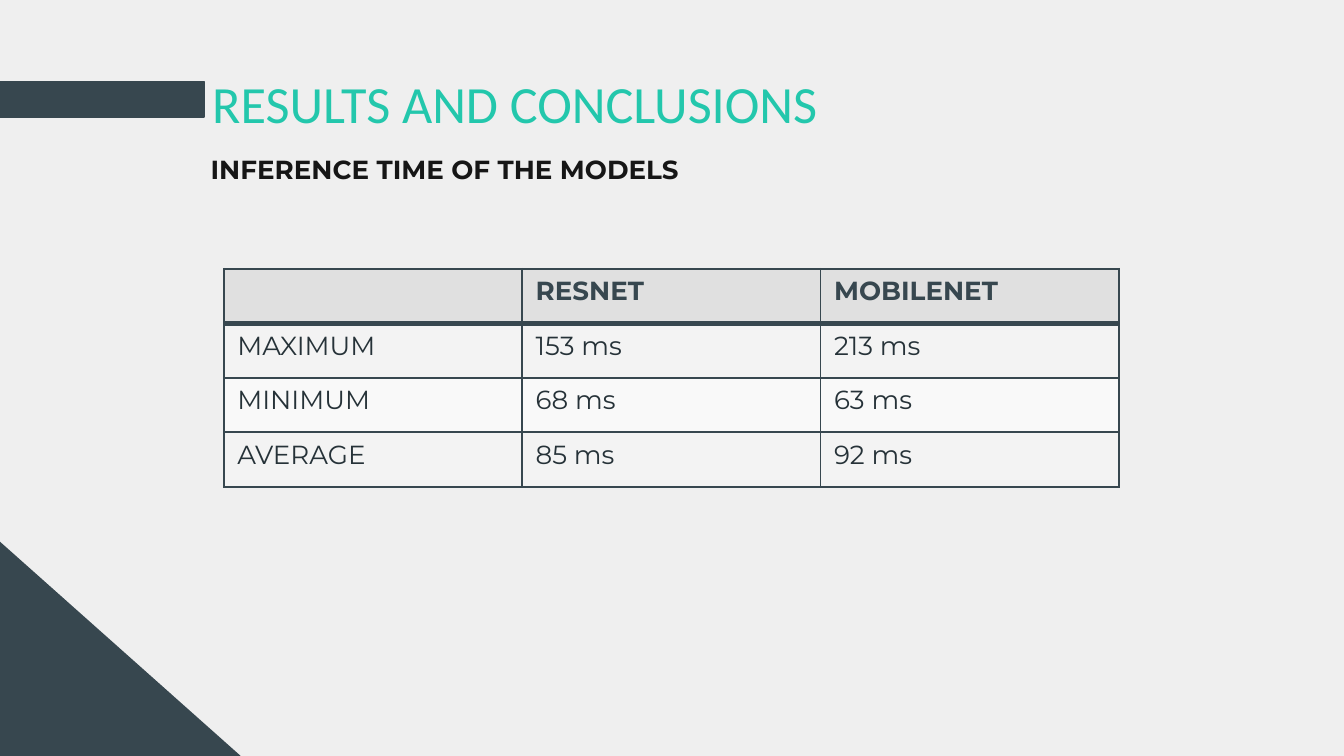
from pptx import Presentation
from pptx.dml.color import RGBColor
from pptx.enum.shapes import MSO_SHAPE as Shape
from pptx.enum.text import MSO_ANCHOR as Anchor, MSO_AUTO_SIZE as AutoSize, PP_ALIGN as Align
from pptx.oxml.xmlchemy import OxmlElement
from pptx.util import Cm, Pt

COLORS = {
    "background": "EFEFEF",
    "slate": "37474F",
    "teal": "23C7AC",
    "black": "161616",
    "body": "263238",
    "header": "E0E0E0",
    "odd": "F3F3F3",
    "even": "F9F9F9",
}
TIMES = [
    ["", "RESNET", "MOBILENET"],
    ["MAXIMUM", "153 ms", "213 ms"],
    ["MINIMUM", "68 ms", "63 ms"],
    ["AVERAGE", "85 ms", "92 ms"],
]
COL_WIDTH, ROW_HEIGHT = 5.64, 1.03


def rgb(name):
    return RGBColor.from_string(COLORS[name])


def paint(fill, color):
    fill.solid()
    fill.fore_color.rgb = rgb(color)


def write(tf, text, size=14, font="Montserrat", color="body", bold=False, spacing=None):
    tf.word_wrap = True
    p = tf.paragraphs[0]
    p.alignment = Align.LEFT
    if spacing:
        p.line_spacing = spacing
    r = p.add_run()
    r.text = text
    r.font.size = Pt(size)
    r.font.name = font
    r.font.bold = bold
    r.font.color.rgb = rgb(color)


def add_decoration(slide, kind, left, top, width, height, outlined=False):
    sp = slide.shapes.add_shape(kind, Cm(left), Cm(top), Cm(width), Cm(height))
    sp.shadow.inherit = False
    paint(sp.fill, "slate")
    if outlined:
        sp.line.width = Pt(0.75)
        paint(sp.line.fill, "slate")
    else:
        sp.line.fill.background()


def add_title(slide, text):
    sp = slide.shapes.title
    sp.left, sp.top, sp.width, sp.height = Cm(3.76), Cm(0.91), Cm(20.17), Cm(1.4)
    tf = sp.text_frame
    tf.auto_size = AutoSize.NONE
    tf.vertical_anchor = Anchor.TOP
    tf.margin_left = tf.margin_right = tf.margin_top = tf.margin_bottom = Cm(0.25)
    write(tf, text, size=28, font="Calibri", color="teal", spacing=1.15)


def add_subtitle(slide, text):
    sp = slide.shapes.add_textbox(Cm(3.73), Cm(2.77), Cm(17.96), Cm(0.87))
    write(sp.text_frame, text, color="black", bold=True)


def set_border(cell, side, points):
    """Draw one cell edge; side is L, R, T or B."""
    ln = OxmlElement(f"a:ln{side}")
    ln.set("w", str(Pt(points)))
    fill = OxmlElement("a:solidFill")
    color = OxmlElement("a:srgbClr")
    color.set("val", COLORS["slate"])
    fill.append(color)
    ln.append(fill)
    cell._tc.get_or_add_tcPr().append(ln)


def add_times_table(slide, rows):
    n_rows, n_cols = len(rows), len(rows[0])
    frame = slide.shapes.add_table(n_rows, n_cols, Cm(4.23), Cm(5.08),
                                   Cm(COL_WIDTH * n_cols), Cm(ROW_HEIGHT * n_rows))
    table = frame.table
    table.horz_banding = False
    for i, row in enumerate(rows):
        is_header = i == 0
        background = "header" if is_header else "odd" if i % 2 else "even"
        for j, text in enumerate(row):
            cell = table.cell(i, j)
            # The rule under the header is shared by the first two rows.
            widths = {"L": 1, "R": 1, "T": 3 if i == 1 else 1, "B": 3 if is_header else 1}
            for side, points in widths.items():
                set_border(cell, side, points)
            paint(cell.fill, background)
            if text:
                write(cell.text_frame, text, color="slate" if is_header else "body",
                      bold=is_header)


def main():
    prs = Presentation()
    prs.slide_width, prs.slide_height = Cm(25.4), Cm(14.29)
    slide = prs.slides.add_slide(prs.slide_layouts[5])
    paint(slide.background.fill, "background")
    add_decoration(slide, Shape.RECTANGLE, 0, 1.54, 3.86, 0.67, outlined=True)
    add_decoration(slide, Shape.RIGHT_TRIANGLE, 0, 10.24, 4.55, 4.05)
    add_title(slide, "RESULTS AND CONCLUSIONS")
    add_subtitle(slide, "INFERENCE TIME OF THE MODELS")
    add_times_table(slide, TIMES)
    prs.save("out.pptx")


if __name__ == "__main__":
    main()
